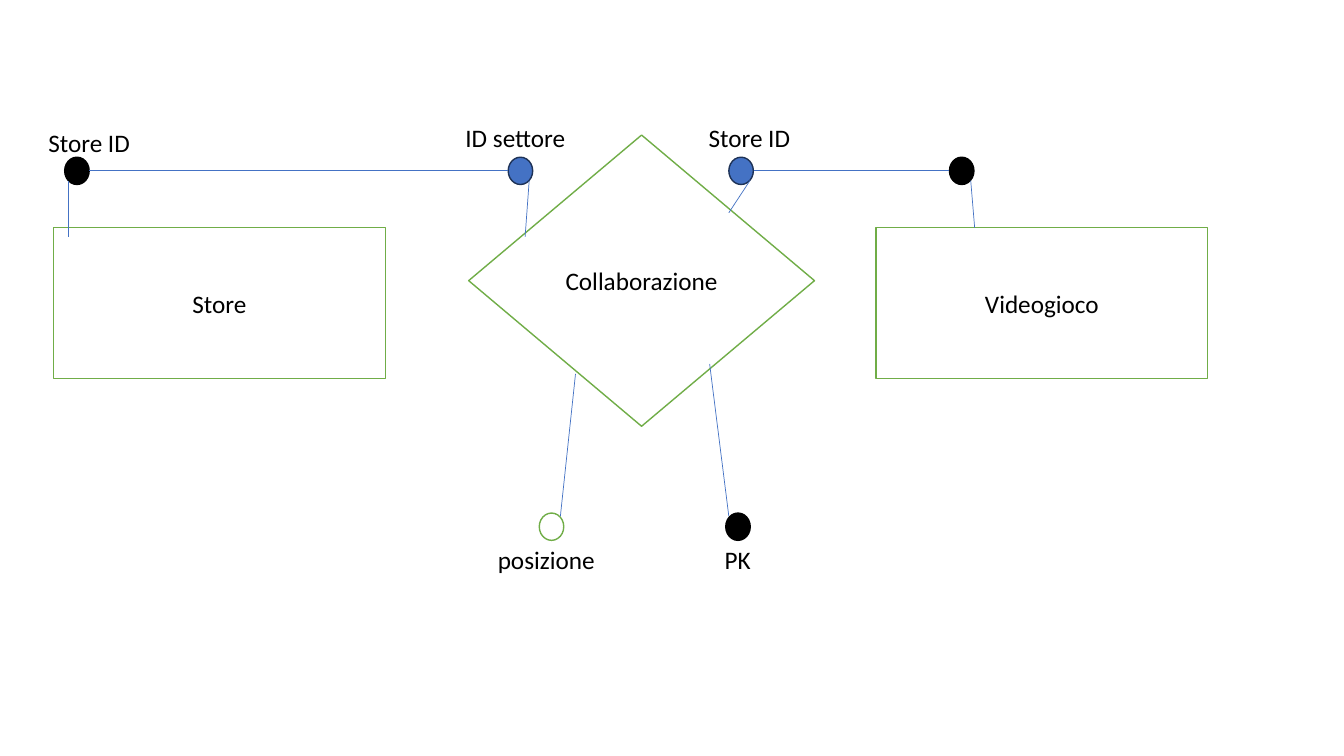
from pptx import Presentation
from pptx.dml.color import RGBColor
from pptx.enum.shapes import MSO_CONNECTOR as LINK, MSO_SHAPE as SHAPE
from pptx.enum.text import MSO_ANCHOR as ANCHOR, MSO_AUTO_SIZE as FIT, PP_ALIGN as ALIGN
from pptx.oxml.ns import qn
from pptx.util import Pt
from lxml.etree import SubElement

GREEN, BLUE, NAVY, BLACK, WHITE = "70AD47", "4472C4", "1E3256", "000000", "FFFFFF"
DOT_W, DOT_H = 17.5, 19.5
TOP_Y, BOTTOM_Y = 112.3, 366.5
LINK_Y = TOP_Y + DOT_H / 2


def color(hex_string):
    return RGBColor.from_string(hex_string)


def write(frame, text, align=ALIGN.LEFT, anchor=ANCHOR.TOP, wrap=True, fit=FIT.NONE):
    frame.auto_size = fit
    frame.word_wrap = wrap
    frame.vertical_anchor = anchor
    paragraph = frame.paragraphs[0]
    paragraph.alignment = align
    run = paragraph.add_run()
    run.text = text
    run.font.name = "Calibri"
    run.font.size = Pt(18)
    run.font.color.rgb = color(BLACK)


prs = Presentation()
prs.slide_width, prs.slide_height = Pt(960), Pt(540)
slide = prs.slides.add_slide(prs.slide_layouts[6])
shapes = slide.shapes

# Entities, the relationship and attribute dots: kind, box, fill, outline, name
entity_box = (162.7, 237, 107.5)
nodes = [
    (SHAPE.RECTANGLE, 38.2, *entity_box, WHITE, GREEN, "Store"),
    (SHAPE.RECTANGLE, 625.7, *entity_box, WHITE, GREEN, "Videogioco"),
    (SHAPE.FLOWCHART_DECISION, 334.8, 96.5, 247, 208, WHITE, GREEN, "Collaborazione"),
]
for left, top, fill, outline in [
    (46.2, TOP_Y, BLACK, BLACK),
    (678.2, TOP_Y, BLACK, BLACK),
    (518.4, BOTTOM_Y, BLACK, BLACK),
    (363, TOP_Y, BLUE, NAVY),
    (520.6, TOP_Y, BLUE, NAVY),
    (385.2, BOTTOM_Y, WHITE, GREEN),
]:
    nodes.append((SHAPE.FLOWCHART_CONNECTOR, left, top, DOT_W, DOT_H, fill, outline, ""))

for kind, left, top, width, height, fill, outline, name in nodes:
    node = shapes.add_shape(kind, Pt(left), Pt(top), Pt(width), Pt(height))
    node.shadow.inherit = False
    node.fill.solid()
    node.fill.fore_color.rgb = color(fill)
    node.line.color.rgb = color(outline)
    node.line.width = Pt(1)
    if name:
        write(node.text_frame, name, align=ALIGN.CENTER, anchor=ANCHOR.MIDDLE)

# Attribute names
for name, left, top, width in [
    ("Store ID", 27.4, 87.2, 73.4),
    ("ID settore", 325.4, 83.6, 91.4),
    ("posizione", 348.5, 385.2, 84.2),
    ("PK", 510.5, 385.2, 33.2),
    ("Store ID", 499, 83.6, 73.4),
]:
    label = shapes.add_textbox(Pt(left), Pt(top), Pt(width), Pt(29))
    write(label.text_frame, name, wrap=False, fit=FIT.SHAPE_TO_FIT_TEXT)

# Lines between dots, entities and the relationship
for x1, y1, x2, y2 in [
    (49, 169.2, 49, 129),
    (63.8, LINK_Y, 363, LINK_Y),
    (378, 129, 375.1, 169.2),
    (535.7, 129, 520.6, 152),
    (538.3, LINK_Y, 678.2, LINK_Y),
    (693.4, 129, 696.2, 162.7),
    (411.1, 267.1, 400.3, 368.7),
    (506.9, 260, 520.6, 368.7),
]:
    link = shapes.add_connector(LINK.STRAIGHT, Pt(x1), Pt(y1), Pt(x2), Pt(y2))
    link.line.color.rgb = color(BLUE)
    link.line.width = Pt(0.5)
    SubElement(link._element.spPr, qn("a:effectLst"))

prs.save("out.pptx")
